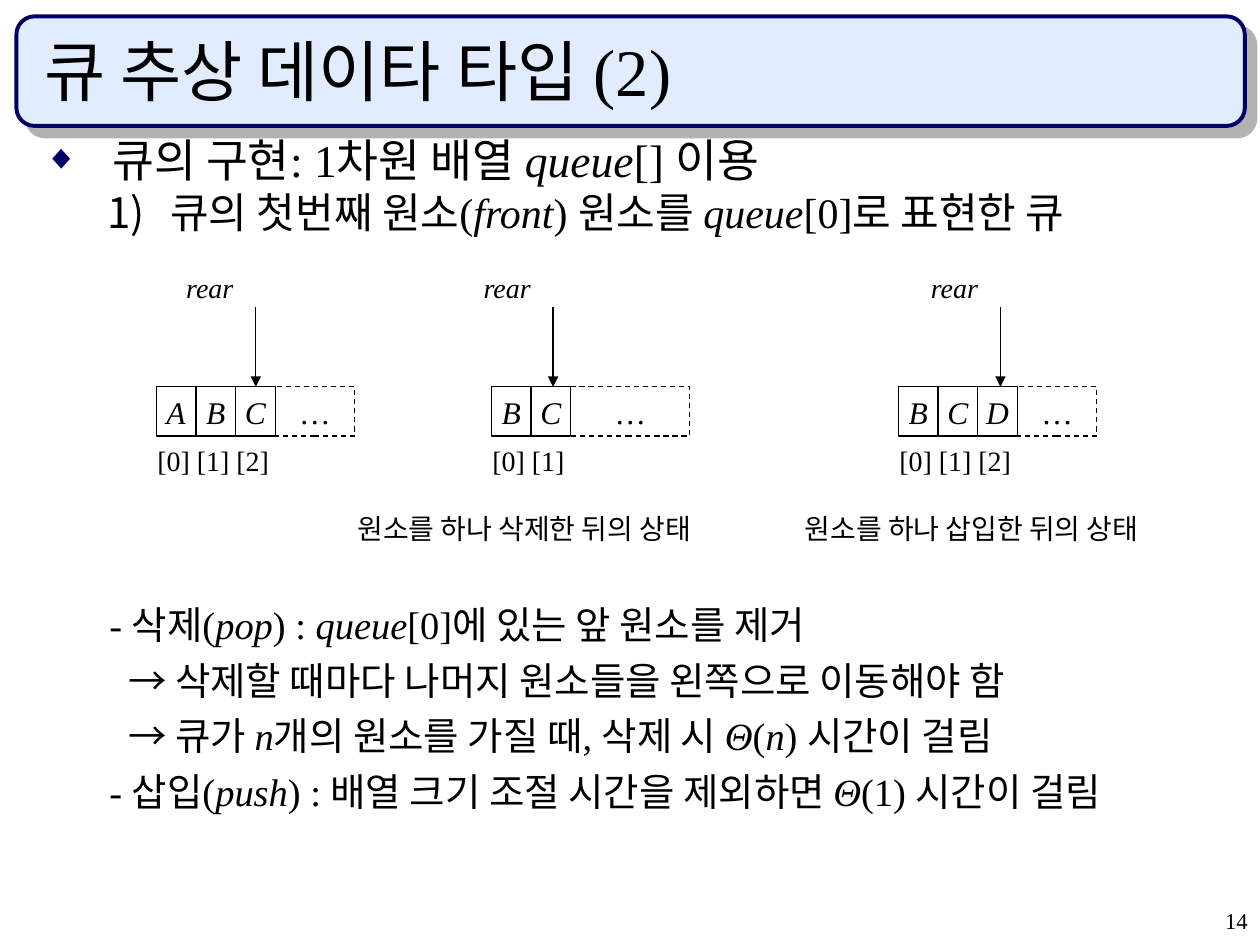
"""Build the slide on the queue abstract data type and its array form."""
from dataclasses import dataclass
from typing import NamedTuple

from lxml.etree import SubElement
from pptx import Presentation
from pptx.dml.color import RGBColor
from pptx.enum.dml import MSO_LINE
from pptx.enum.shapes import MSO_CONNECTOR, MSO_SHAPE
from pptx.enum.text import MSO_ANCHOR, MSO_AUTO_SIZE, PP_ALIGN
from pptx.oxml.ns import qn
from pptx.util import Inches, Pt


@dataclass(frozen=True)
class Theme:
    ink: str = "000000"
    navy: str = "000066"
    banner: str = "E1ECFF"
    shadow: str = "B2B2B2"
    serif: str = "Times New Roman"
    sans: str = "Arial"
    title: float = 38
    topic: float = 26
    subtopic: float = 24
    note: float = 22
    element: float = 18
    label: float = 16
    page: float = 12.9
    thin: float = 0.75
    border: float = 2.25


class Span(NamedTuple):
    text: str
    italic: bool = False
    font: str = "Times New Roman"


class Bullet(NamedTuple):
    kind: str
    settings: dict[str, str]
    color: str
    percent: int


class Note(NamedTuple):
    spans: list[Span]
    indent: float = 0


@dataclass(frozen=True)
class QueueState:
    left: float
    rear: float
    elements: str
    spare_cells: int
    caption: str = ""


THEME = Theme()
CELL_WIDTH, CELL_HEIGHT, CELL_TOP = 0.315, 0.39, 3.07
HANGING = 0.38
ARROW = Span("→", font=THEME.sans)

STATES = [
    QueueState(1.24, 2.03, "ABC", 2),
    QueueState(3.9, 4.39, "BC", 3, "원소를 하나 삭제한 뒤의 상태"),
    QueueState(7.13, 7.94, "BCD", 2, "원소를 하나 삽입한 뒤의 상태"),
]
TOPIC = [Span("큐의 구현: 1차원 배열 "), Span("queue", True), Span("[] 이용")]
SUBTOPIC = [Span("큐의 첫번째 원소("), Span("front", True), Span(") 원소를 "),
            Span("queue", True), Span("[0]로 표현한 큐")]
NOTES = [
    Note([Span("- 삭제("), Span("pop", True), Span(") : "), Span("queue", True),
          Span("[0]에 있는 앞 원소를 제거")]),
    Note([ARROW, Span(" 삭제할 때마다 나머지 원소들을 왼쪽으로 이동해야 함")], 0.15),
    Note([ARROW, Span(" 큐가 "), Span("n", True), Span("개의 원소를 가질 때, 삭제 시 "),
          Span("Θ", True), Span("("), Span("n", True), Span(") 시간이 걸림")], 0.15),
    Note([Span("- 삽입("), Span("push", True), Span(") : 배열 크기 조절 시간을 제외하면 "),
          Span("Θ", True), Span("(1) 시간이 걸림")]),
]


def color(value: str) -> RGBColor:
    """Turn a hex string into a colour."""
    return RGBColor.from_string(value)


def write(paragraph, spans: list[Span], size: float, before: float = 0,
          align=PP_ALIGN.JUSTIFY, spacing: float = 1.0) -> None:
    """Fill a paragraph run by run."""
    paragraph.alignment = align
    paragraph.space_before = Pt(before)
    paragraph.line_spacing = spacing
    for span in spans:
        run = paragraph.add_run()
        run.text = span.text
        run.font.size = Pt(size)
        run.font.name = span.font
        run.font.italic = span.italic
        run.font.color.rgb = color(THEME.ink)


def hang(paragraph, margin: float, first: float) -> None:
    """Set the left margin and the first-line indent."""
    properties = paragraph._p.get_or_add_pPr()
    properties.set("marL", str(Inches(margin)))
    properties.set("indent", str(Inches(first)))


def add_bullet(paragraph, bullet: Bullet) -> None:
    """Give a paragraph its bullet or number."""
    properties = paragraph._p.get_or_add_pPr()
    SubElement(SubElement(properties, qn("a:buClr")), qn("a:srgbClr"), val=bullet.color)
    SubElement(properties, qn("a:buSzPct"), val=str(bullet.percent * 1000))
    SubElement(properties, qn("a:buFont"), typeface=THEME.sans)
    SubElement(properties, qn(bullet.kind), bullet.settings)


def place(shape, left: float, top: float, width: float, height: float) -> None:
    """Move and size a shape in inches."""
    shape.left, shape.top = Inches(left), Inches(top)
    shape.width, shape.height = Inches(width), Inches(height)


def add_text(slide, left: float, top: float, width: float, height: float):
    """Add a wrapping text box and return its frame."""
    frame = slide.shapes.add_textbox(
        Inches(left), Inches(top), Inches(width), Inches(height)).text_frame
    frame.word_wrap = True
    return frame


def add_label(slide, left: float, top: float, width: float, span: Span) -> None:
    """Add a one-line label."""
    write(add_text(slide, left, top, width, 0.37).paragraphs[0], [span], THEME.label, 4)


def add_banner(slide) -> None:
    """Add the title banner behind everything else."""
    banner = slide.shapes.add_shape(
        MSO_SHAPE.ROUNDED_RECTANGLE, Inches(0.13), Inches(0.13), Inches(9.75), Inches(0.87))
    banner.fill.solid()
    banner.fill.fore_color.rgb = color(THEME.banner)
    banner.line.color.rgb = color(THEME.navy)
    banner.line.width = Pt(THEME.border)
    banner.shadow.inherit = False
    effects = banner._element.spPr.find(qn("a:effectLst"))
    shadow = SubElement(effects, qn("a:outerShdw"), dist=str(Pt(8.5)), dir="2700000",
                        algn="ctr", rotWithShape="0")
    SubElement(shadow, qn("a:srgbClr"), val=THEME.shadow)
    slide.shapes._spTree.insert(2, banner._element)


def add_cell(slide, left: float, span: Span, cells: int = 1, dashed: bool = False) -> None:
    """Add one array cell or the dashed spare area."""
    cell = slide.shapes.add_shape(
        MSO_SHAPE.RECTANGLE, Inches(left), Inches(CELL_TOP),
        Inches(CELL_WIDTH * cells), Inches(CELL_HEIGHT))
    cell.shadow.inherit = False
    cell.fill.background()
    cell.line.color.rgb = color(THEME.ink)
    cell.line.width = Pt(THEME.thin)
    if dashed:
        cell.line.dash_style = MSO_LINE.DASH
    cell.text_frame.word_wrap = False
    cell.text_frame.vertical_anchor = MSO_ANCHOR.MIDDLE
    write(cell.text_frame.paragraphs[0], [span], THEME.element, 4.5, PP_ALIGN.CENTER)


def add_pointer(slide, x: float) -> None:
    """Add the arrow from the rear label to its cell."""
    pointer = slide.shapes.add_connector(
        MSO_CONNECTOR.STRAIGHT, Inches(x), Inches(2.44), Inches(x), Inches(CELL_TOP))
    pointer.line.color.rgb = color(THEME.ink)
    pointer.line.width = Pt(THEME.thin)
    SubElement(pointer.line._get_or_add_ln(), qn("a:tailEnd"), type="triangle")
    SubElement(pointer._element.spPr, qn("a:effectLst"))


def add_state(slide, state: QueueState) -> None:
    """Draw one state of the queue with its labels."""
    for index, element in enumerate(state.elements):
        add_cell(slide, state.left + index * CELL_WIDTH, Span(element, True))
    spare_left = state.left + len(state.elements) * CELL_WIDTH
    add_cell(slide, spare_left, Span("…"), state.spare_cells, True)
    indices = " ".join(f"[{index}]" for index in range(len(state.elements)))
    add_label(slide, state.left - 0.09, 3.47, 1.6, Span(indices))
    add_pointer(slide, state.rear)
    add_label(slide, state.rear - 0.65, 2.1, 1.33, Span("rear", True))
    if state.caption:
        add_label(slide, state.rear - 1.65, 4.01, 3.64, Span(state.caption))


def main() -> None:
    """Build and save the slide."""
    deck = Presentation()
    deck.slide_width, deck.slide_height = Inches(10), Inches(7.5)
    slide = deck.slides.add_slide(deck.slide_layouts[1])
    add_banner(slide)

    title, body = slide.shapes.title, slide.placeholders[1]
    place(title, 0.25, 0.25, 9.42, 0.67)
    place(body, 0.25, 1.08, 9.42, 1.33)
    for holder, anchor in ((title, MSO_ANCHOR.BOTTOM), (body, MSO_ANCHOR.TOP)):
        holder.text_frame.auto_size = MSO_AUTO_SIZE.NONE
        holder.text_frame.vertical_anchor = anchor
    write(title.text_frame.paragraphs[0], [Span("큐 추상 데이타 타입 (2)")],
          THEME.title, align=PP_ALIGN.LEFT)

    topic = body.text_frame.paragraphs[0]
    write(topic, TOPIC, THEME.topic, 6.5, spacing=0.8)
    hang(topic, 0.54, -0.54)
    add_bullet(topic, Bullet("a:buChar", {"char": "◆"}, THEME.navy, 75))
    subtopic = body.text_frame.add_paragraph()
    subtopic.level = 1
    write(subtopic, SUBTOPIC, THEME.subtopic, 6, spacing=0.8)
    hang(subtopic, 1, -0.5)
    add_bullet(subtopic, Bullet("a:buAutoNum", {"type": "arabicParenR"}, THEME.ink, 100))

    for state in STATES:
        add_state(slide, state)

    notes = add_text(slide, 0.77, 4.72, 9.2, 1.8)
    for index, note in enumerate(NOTES):
        paragraph = notes.add_paragraph() if index else notes.paragraphs[0]
        write(paragraph, note.spans, THEME.note, 5.5)
        hang(paragraph, HANGING + note.indent, -HANGING)

    page = add_text(slide, 7.92, 7.17, 2.08, 0.33)
    write(page.paragraphs[0], [Span("14")], THEME.page, 8.8, PP_ALIGN.RIGHT, 0.9)
    deck.save("out.pptx")


if __name__ == "__main__":
    main()
